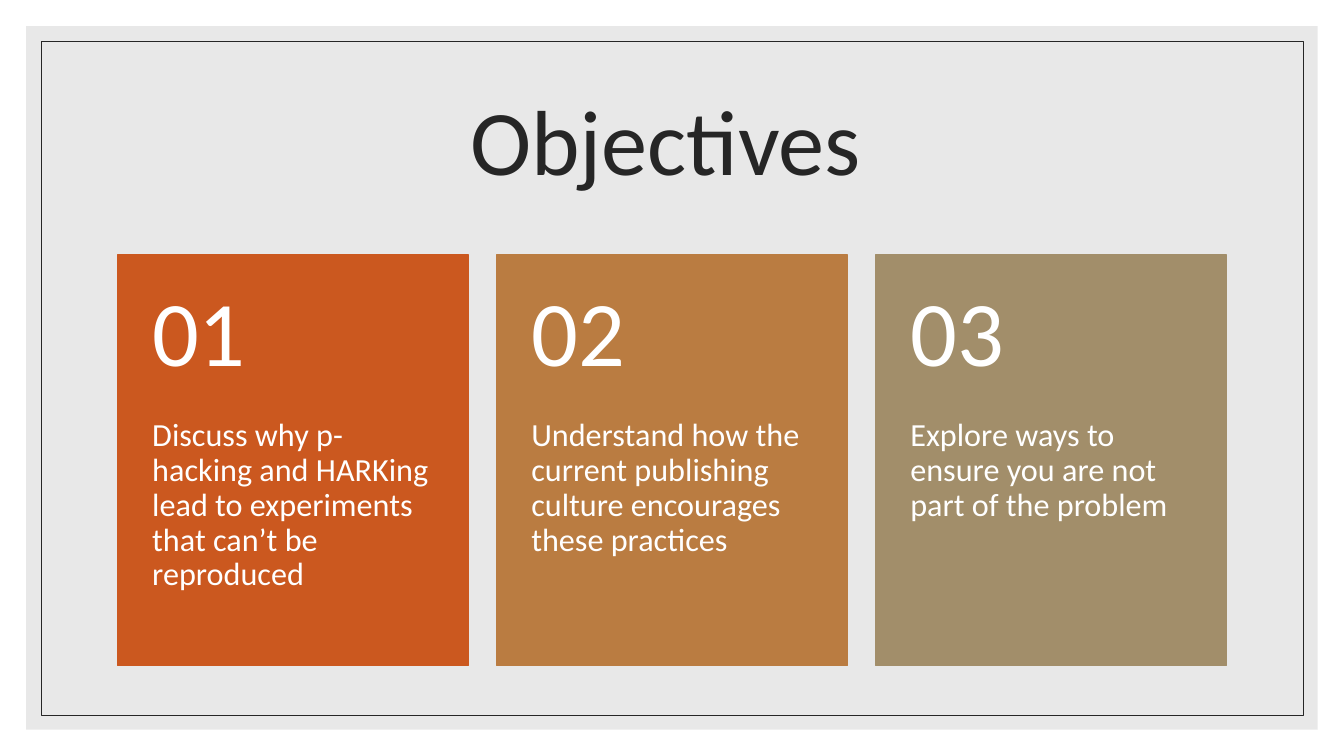
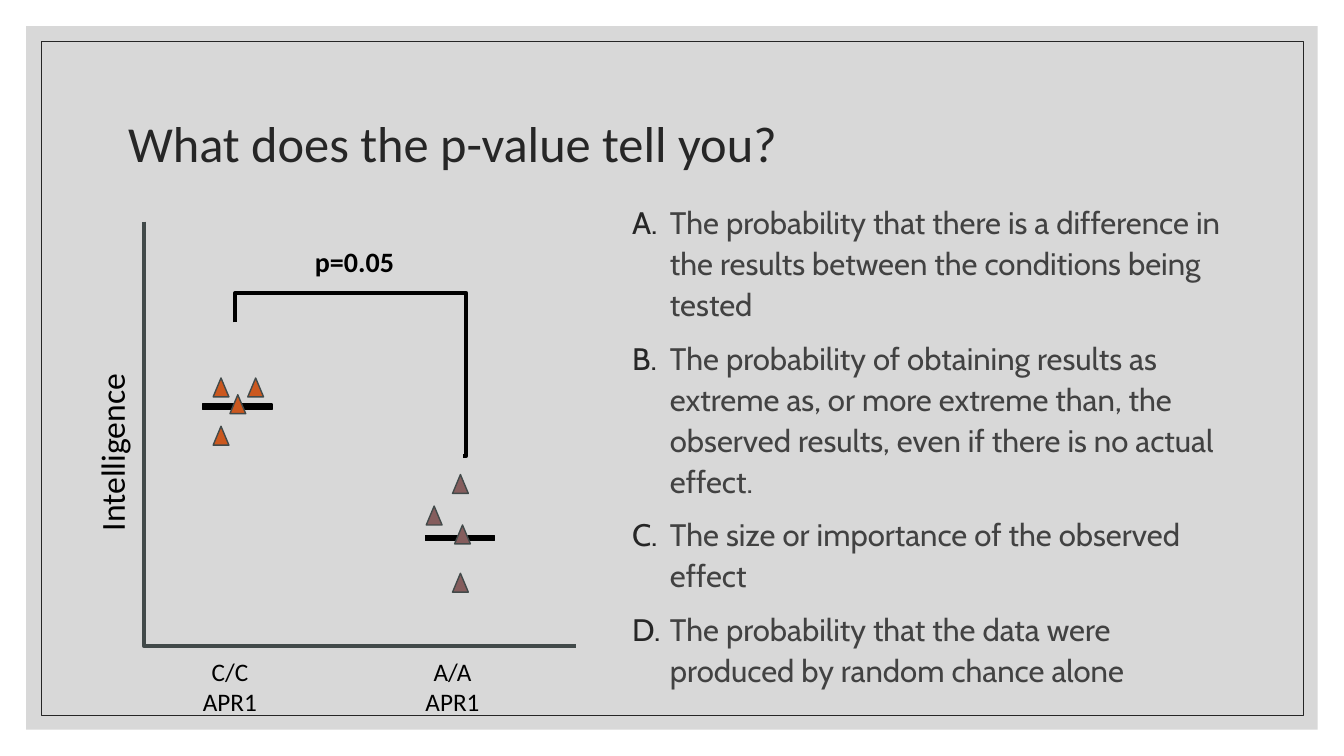
from lxml.etree import SubElement
from pptx import Presentation
from pptx.dml.color import RGBColor
from pptx.enum.shapes import MSO_SHAPE
from pptx.enum.text import MSO_ANCHOR, PP_ALIGN
from pptx.oxml.ns import qn
from pptx.util import Pt

PX = 9525
W, H = 1280, 720
FONT, BODY_FONT = "Calibri", "Cabin"
TITLE_BOX = (112, 67, 1056, 144)
COLORS = {
    "page": "FFFFFF", "light_panel": "D9D9D9", "dark_panel": "BFBFBF",
    "ink": "262626", "black": "000000", "white": "FFFFFF", "body": "424242",
    "axis": "424A4A", "orange": "CB581F", "copper": "BA7C41",
    "sand": "A28E6A", "plum": "855D5D",
}
OBJECTIVES = [
    ("orange", "Discuss why p-hacking and HARKing lead to experiments that can’t be reproduced"),
    ("copper", "Understand how the current publishing culture encourages these practices"),
    ("sand", "Explore ways to ensure you are not part of the problem"),
]
ANSWERS = [
    "The probability that there is a difference in the results between the conditions being tested",
    "The probability of obtaining results as extreme as, or more extreme than, "
    "the observed results, even if there is no actual effect.",
    "The size or importance of the observed effect",
    "The probability that the data were produced by random chance alone",
]
GROUPS = [
    ("C/C\vAPR1", "orange", (56, 174), [(66, 149), (82, 165), (99, 149), (66, 195)]),
    ("A/A\vAPR1", "plum", (268, 299), [(269, 271), (294, 335), (294, 241), (296, 289)]),
]


def rgb(name):
    """Return the named colour."""
    return RGBColor.from_string(COLORS[name])


def emu(*lengths):
    """Turn px lengths into EMU."""
    return [n * PX for n in lengths]


def paint(sp, fill=None, line=None, width=1, alpha=None):
    """Set the fill, outline and opacity of a shape."""
    sp.shadow.inherit = False
    if fill:
        sp.fill.solid()
        sp.fill.fore_color.rgb = rgb(fill)
    else:
        sp.fill.background()
    if alpha:
        clr = next(sp.element.spPr.iter(qn("a:srgbClr")))
        SubElement(clr, qn("a:alpha"), val=str(alpha * 1000))
    if line:
        sp.line.color.rgb = rgb(line)
        sp.line.width = Pt(width)
    else:
        sp.line.fill.background()


def add_box(shapes, box, kind=MSO_SHAPE.RECTANGLE, **style):
    """Add a painted preset shape."""
    sp = shapes.add_shape(kind, *emu(*box))
    paint(sp, **style)
    return sp


def add_path(s, points, color):
    """Add an open outline through the points."""
    builder = s.shapes.build_freeform(*points[0], scale=PX)
    builder.add_line_segments(points[1:], close=False)
    paint(builder.convert_to_shape(), line=color, width=3)


def add_text(shapes, box, *texts, size=18, color="black", font=FONT, bold=False,
             align=PP_ALIGN.LEFT, anchor=MSO_ANCHOR.TOP, inset=(10, 5, 10, 5),
             spacing=1.0, gap=0, lettered=False):
    """Add a text box with one paragraph for each text."""
    sp = shapes.add_textbox(*emu(*box))
    tf = sp.text_frame
    tf.word_wrap = True
    tf.vertical_anchor = anchor
    tf.margin_left, tf.margin_top, tf.margin_right, tf.margin_bottom = emu(*inset)
    for i, text in enumerate(texts):
        p = tf.paragraphs[0] if i == 0 else tf.add_paragraph()
        p.text = text
        if lettered:
            add_letter(p)
        p.alignment = align
        p.line_spacing = spacing
        if i and gap:
            p.space_before = Pt(gap)
        for r in p.runs:
            r.font.name = font
            r.font.size = Pt(size)
            r.font.bold = bold
            r.font.color.rgb = rgb(color)
    return sp


def add_letter(p, indent=36):
    """Number a paragraph with a capital letter and hanging indent."""
    pPr = p._p.get_or_add_pPr()
    pPr.set("marL", str(indent * PX))
    pPr.set("indent", str(-indent * PX))
    clr = SubElement(pPr, qn("a:buClr"))
    SubElement(clr, qn("a:srgbClr"), val=COLORS["ink"])
    SubElement(pPr, qn("a:buAutoNum"), type="alphaUcPeriod")


def add_framed_slide(prs, panel):
    """Add a blank slide with its tinted panel and thin frame."""
    s = prs.slides.add_slide(prs.slide_layouts[6])
    s.background.fill.solid()
    s.background.fill.fore_color.rgb = rgb("page")
    for inset, style in ((25, {"fill": panel, "alpha": 60}),
                         (39, {"line": "ink", "width": 0.5})):
        add_box(s.shapes, (inset, inset, W - 2 * inset, H - 2 * inset), **style)
    return s


def add_title(s, text, size, box=TITLE_BOX, align=PP_ALIGN.LEFT):
    """Add the slide title."""
    add_text(s.shapes, box, text, size=size, color="ink", align=align,
             anchor=MSO_ANCHOR.MIDDLE, spacing=0.9)


def add_card(s, box, number, color, text):
    """Add a numbered objective card."""
    x, y, w, h = box
    head = 156
    shapes = s.shapes.add_group_shape().shapes
    add_box(shapes, box, fill=color, line=color)
    add_text(shapes, (x, y + head, w, h - head), text, size=23, color="white",
             inset=(33, 0, 33, 35), spacing=0.9)
    add_text(shapes, (x, y, w, head), f"{number:02}", size=66, color="white",
             anchor=MSO_ANCHOR.MIDDLE, inset=(33, 17, 33, 17), spacing=0.9)


def add_plot(s, box):
    """Add the scatter of two genotypes with axes, means and p-value bracket."""
    x, y, w, h = box
    add_path(s, [(x, y), (x, y + h), (x + w, y + h)], "axis")
    sp = add_text(s.shapes, (x - 133, y + 179, 204, 48), "Intelligence", size=24)
    sp.rotation = 270
    for label, color, (mx, my), points in GROUPS:
        add_box(s.shapes, (x + mx, y + my, 66, 5), fill="black", line="black")
        add_text(s.shapes, (x + mx - 15, y + h + 5, 82, 68), label,
                 align=PP_ALIGN.CENTER)
        for px, py in points:
            add_box(s.shapes, (x + px, y + py, 15, 18),
                    MSO_SHAPE.ISOSCELES_TRIANGLE, fill=color, line="axis")
    bracket = [(87, 96), (87, 68), (307, 68), (307, 223), (304, 223)]
    add_path(s, [(x + bx, y + by) for bx, by in bracket], "black")
    add_text(s.shapes, (x + 153, y + 17, 109, 42), "p=0.05", size=20, bold=True)


def build_objectives(prs):
    """Build the slide of three objectives."""
    s = add_framed_slide(prs, "light_panel")
    x, y, w, h = TITLE_BOX
    add_title(s, "Objectives", 66, (x - 6, y, w, h), PP_ALIGN.CENTER)
    card_w, gap = 334, 27
    for i, (color, text) in enumerate(OBJECTIVES):
        add_card(s, (x + i * (card_w + gap), 243, card_w, 391), i + 1, color, text)


def build_question(prs):
    """Build the p-value question slide."""
    s = add_framed_slide(prs, "dark_panel")
    add_title(s, "What does the p-value tell you?", 36)
    add_text(s.shapes, (592, 185, 601, 487), *ANSWERS, size=22.2, color="body",
             font=BODY_FONT, spacing=1.1, gap=9, lettered=True)
    add_plot(s, (137, 211, 412, 404))


def main():
    """Build and save the presentation."""
    prs = Presentation()
    prs.slide_width, prs.slide_height = emu(W, H)
    build_objectives(prs)
    build_question(prs)
    prs.save("out.pptx")


if __name__ == "__main__":
    main()
